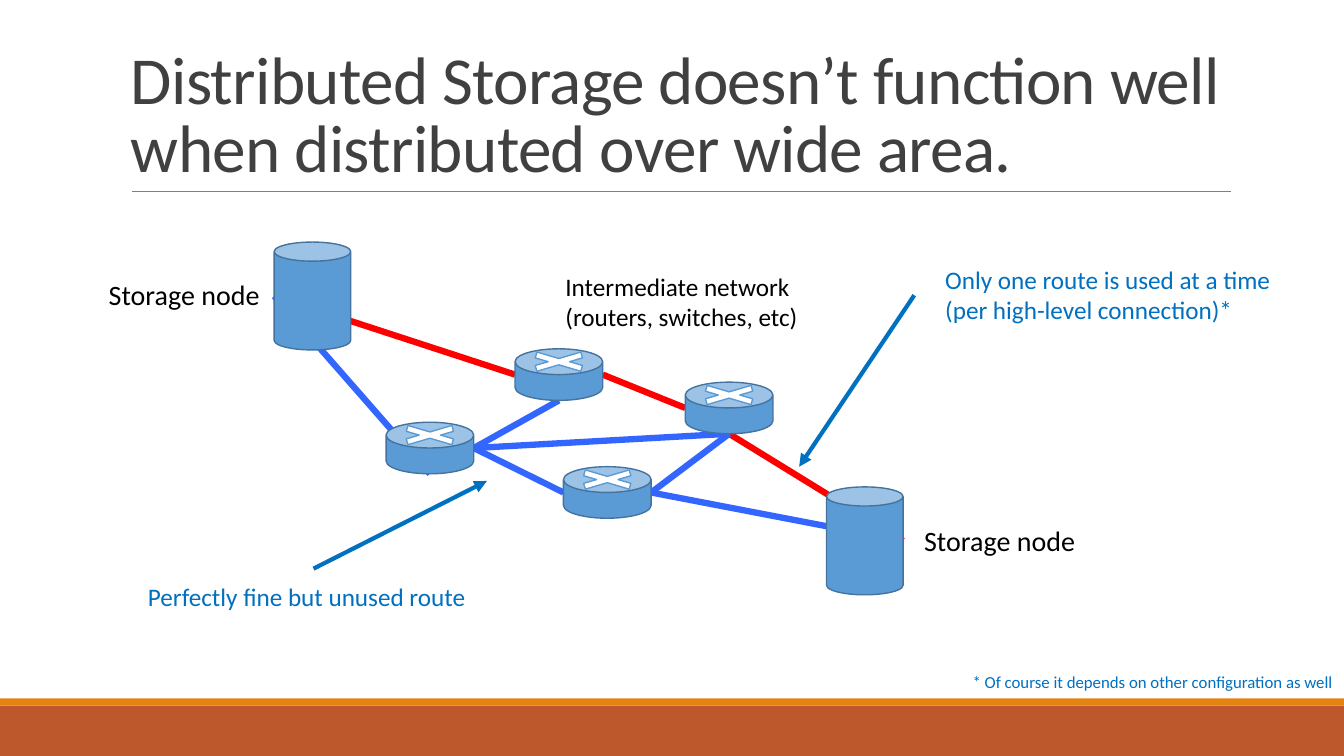
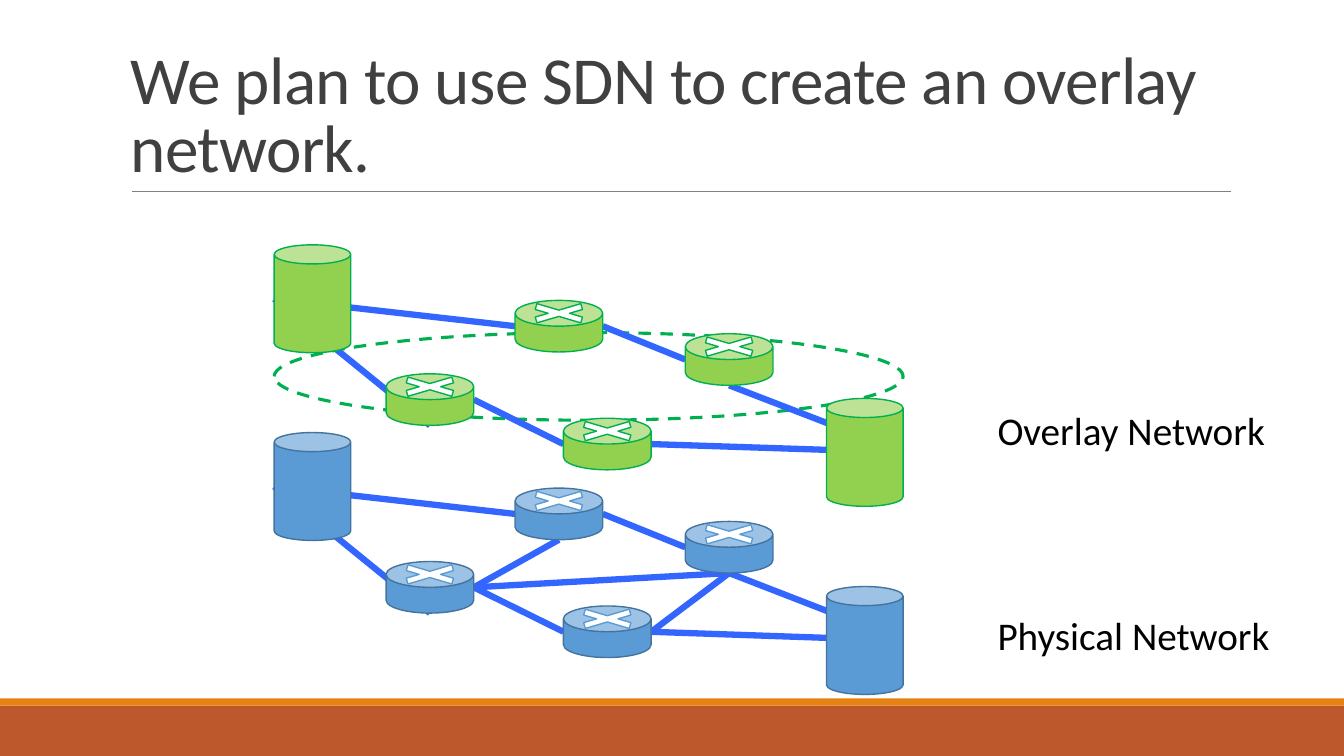
from itertools import product

from lxml import etree
from pptx import Presentation
from pptx.dml.color import RGBColor
from pptx.enum import dml, shapes, text
from pptx.oxml import ns
from pptx.util import Cm, Pt

FONT = "Calibri"
BLACK, WHITE, GRAY, TITLE = "000000", "FFFFFF", "808080", "404040"
RUST, ORANGE = "BD582C", "E48312"
LINK, ROUTE, NOTE = "3366FF", "FF0000", "0070C0"
PHYSICAL = {"fill": "5B9BD5", "line": "43739E", "cross": "5B9BD5"}
OVERLAY = {"fill": "92D050", "line": "00B050", "cross": "00B050"}

SLIDE_WIDTH, SLIDE_HEIGHT = 33.87, 19.05
BANDS = [(17.78, 1.27, RUST), (17.6, 0.18, ORANGE)]

ROUTER_SIZE = (2.21, 1.3)
STORAGE_SIZE = (1.93, 2.72)
ROUTERS = {
    "top": (12.98, 8.79),
    "right": (17.27, 9.63),
    "left": (9.73, 10.64),
    "bottom": (14.2, 11.76),
}
STORAGE_LEFT = {"source": 6.91, "target": 20.83}

MAIN_LINKS = [
    ("target", "east", "right", "south"),
    ("source", "west", "top", "west"),
    ("top", "east", "right", "west"),
    ("left", "east", "bottom", "west"),
    ("bottom", "east", "target", "east"),
    ("source", "west", "left", "south"),
]
CROSS_LINKS = [
    ("bottom", "east", "right", "south"),
    ("top", "south", "left", "east"),
    ("right", "south", "left", "east"),
]
SIDES = {"north": (0.5, 0), "west": (0, 0.5), "south": (0.5, 1), "east": (1, 0.5)}

SLIDES = [
    {
        "title": "Distributed Storage doesn’t function well when distributed over wide area.",
        "networks": [
            {"shift": 0, "storage": (6.1, 12.27), "palette": PHYSICAL,
             "links": MAIN_LINKS + CROSS_LINKS, "route": MAIN_LINKS[:3]},
        ],
        "labels": [
            (2.49, 6.88, 4.34, 1.12, 20, BLACK, ["Storage node"]),
            (23.04, 13.06, 4.34, 1.12, 20, BLACK, ["Storage node"]),
            (14, 6.71, 6.43, 1.8, 18, BLACK,
             ["Intermediate network", "(routers, switches, etc)"]),
            (23.57, 6.53, 8.81, 1.8, 18, NOTE,
             ["Only one route is used at a time", "(per high-level connection)*"]),
            (3.48, 14.53, 8.61, 1.02, 18, NOTE, ["Perfectly fine but unused route"]),
            (24.26, 16.81, 9.7, 0.76, 12, NOTE,
             ["* Of course it depends on other configuration as well"]),
        ],
        "arrows": [((23.04, 7.44), (20.14, 11.76)), ((7.9, 14.33), (12.27, 12.12))],
    },
    {
        "title": "We plan to use SDN to create an overlay network.",
        "networks": [
            {"shift": 3.51, "storage": (10.9, 14.78), "palette": PHYSICAL,
             "links": MAIN_LINKS + CROSS_LINKS, "route": []},
            {"shift": -1.22, "storage": (6.17, 10.04), "palette": OVERLAY,
             "links": MAIN_LINKS, "route": [], "ring": (8.38, 2.21)},
        ],
        "labels": [
            (24.89, 15.27, 7.44, 1.45, 28, BLACK, ["Physical Network"]),
            (24.89, 10.11, 7.32, 1.45, 28, BLACK, ["Overlay Network"]),
        ],
        "arrows": [],
    },
]


def color(value):
    return RGBColor.from_string(value)


def add_box(parent, kind, box, fill=None, line=None, width=1):
    shape = parent.add_shape(kind, *[Cm(length) for length in box])
    shape.shadow.inherit = False
    if fill:
        shape.fill.solid()
        shape.fill.fore_color.rgb = color(fill)
    else:
        shape.fill.background()
    if line:
        shape.line.color.rgb = color(line)
        shape.line.width = Pt(width)
    else:
        shape.line.fill.background()
    return shape


def add_line(slide, start, end, line, width, arrow=False):
    connector = slide.shapes.add_connector(
        shapes.MSO_CONNECTOR.STRAIGHT, *[Cm(length) for length in start + end])
    connector.line.color.rgb = color(line)
    connector.line.width = Pt(width)
    if arrow:
        etree.SubElement(connector.line._get_or_add_ln(), ns.qn("a:tailEnd"), type="triangle")
    etree.SubElement(connector._element.spPr, ns.qn("a:effectLst"))


def add_text(slide, left, top, width, height, size, ink, lines):
    box = slide.shapes.add_textbox(Cm(left), Cm(top), Cm(width), Cm(height))
    frame = box.text_frame
    frame.word_wrap = False
    frame.auto_size = text.MSO_AUTO_SIZE.SHAPE_TO_FIT_TEXT
    for index, line in enumerate(lines):
        paragraph = frame.add_paragraph() if index else frame.paragraphs[0]
        run = paragraph.add_run()
        run.text = line
        run.font.name = FONT
        run.font.size = Pt(size)
        run.font.color.rgb = color(ink)
    return frame


def add_frame(slide, title):
    for top, height, fill in BANDS:
        add_box(slide.shapes, shapes.MSO_SHAPE.RECTANGLE, (0, top, SLIDE_WIDTH, height), fill)
    add_line(slide, (3.33, 4.83), (31.01, 4.83), GRAY, 0.5)
    frame = add_text(slide, 3.05, 0.79, 28, 4.04, 48, TITLE, [title])
    frame.auto_size = text.MSO_AUTO_SIZE.NONE
    frame.word_wrap = True
    frame.vertical_anchor = text.MSO_ANCHOR.BOTTOM
    paragraph = frame.paragraphs[0]
    paragraph.line_spacing = 0.85
    paragraph.runs[0]._r.get_or_add_rPr().set("spc", "-50")


def add_router(slide, box, palette):
    left, top, width, height = box
    group = slide.shapes.add_group_shape()
    body = add_box(group.shapes, shapes.MSO_SHAPE.CAN, box, palette["fill"], palette["line"])
    body.adjustments[0] = 0.5
    add_box(group.shapes, shapes.MSO_SHAPE.MATH_MULTIPLY, (left, top, width, height / 2),
            WHITE, palette["cross"])


def side_point(box, side):
    left, top, width, height = box
    across, down = SIDES[side]
    return left + across * width, top + down * height


def add_network(slide, network):
    palette = network["palette"]
    routers = {name: (left, top + network["shift"], *ROUTER_SIZE)
               for name, (left, top) in ROUTERS.items()}
    storage = {name: (left, top, *STORAGE_SIZE)
               for (name, left), top in zip(STORAGE_LEFT.items(), network["storage"])}
    nodes = {**routers, **storage}
    if "ring" in network:
        top, height = network["ring"]
        left = STORAGE_LEFT["source"]
        width = STORAGE_LEFT["target"] + STORAGE_SIZE[0] - left
        ring = add_box(slide.shapes, shapes.MSO_SHAPE.OVAL, (left, top, width, height),
                       line=palette["line"], width=2.25)
        ring.line.dash_style = dml.MSO_LINE.DASH
    for link in network["links"]:
        start, start_side, end, end_side = link
        add_line(slide, side_point(nodes[start], start_side), side_point(nodes[end], end_side),
                 ROUTE if link in network["route"] else LINK, 4.5)
    for box in storage.values():
        add_box(slide.shapes, shapes.MSO_SHAPE.CAN, box, palette["fill"], palette["line"])
    for box in routers.values():
        add_router(slide, box, palette)


def main():
    presentation = Presentation()
    presentation.slide_width = Cm(SLIDE_WIDTH)
    presentation.slide_height = Cm(SLIDE_HEIGHT)
    for content in SLIDES:
        slide = presentation.slides.add_slide(presentation.slide_layouts[6])
        add_frame(slide, content["title"])
        for network in content["networks"]:
            add_network(slide, network)
        for label in content["labels"]:
            add_text(slide, *label)
        for start, end in content["arrows"]:
            add_line(slide, start, end, NOTE, 3, arrow=True)
    presentation.save("out.pptx")


if __name__ == "__main__":
    main()
